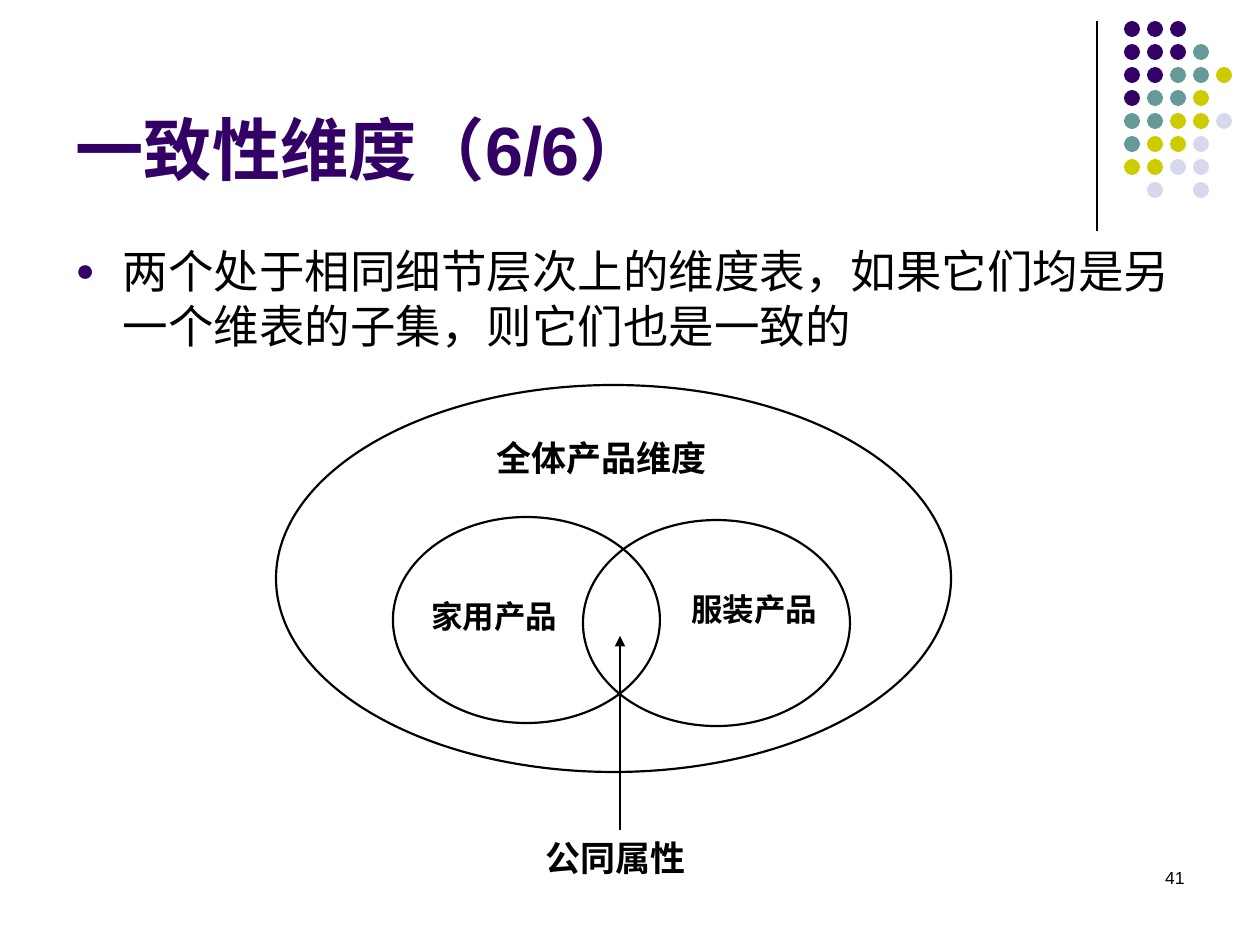
from typing import NamedTuple

import pptx
import pptx.dml.color
import pptx.enum.shapes
import pptx.enum.text
import pptx.oxml.ns
import pptx.util
from lxml import etree

PX = 914400 / 126
PURPLE, TEAL, LIME, LILAC, BLACK = "330066", "669999", "CCCC00", "D8D8EC", "000000"
DOT_COLOURS = {"P": PURPLE, "T": TEAL, "L": LIME, "V": LILAC}
DOT_ROWS = ["PPP", "PPPT", "PPTTL", "PTTL", "TTLLV", "TLLV", "LLVV", " V V"]
DOT_LEFT, DOT_TOP, DOT_PITCH, DOT_SIZE = 1124, 21, 23, 16


class Box(NamedTuple):
    left: int
    top: int
    width: int
    height: int


class Label(NamedTuple):
    text: str
    box: Box
    size: int


SETS = [Box(276, 385, 675, 387), Box(393, 517, 267, 206), Box(583, 520, 267, 206)]
LABELS = [
    Label("全体产品维度", Box(484, 430, 287, 55), 20),
    Label("家用产品", Box(419, 591, 174, 51), 18),
    Label("服装产品", Box(679, 584, 174, 51), 18),
]
SHARED_LABEL = Label("公同属性", Box(533, 830, 174, 55), 20)


def px(value: int) -> int:
    return round(value * PX)


def colour(value: str) -> pptx.dml.color.RGBColor:
    return pptx.dml.color.RGBColor.from_string(value)


def add_child(parent, tag: str, **attributes: str):
    return etree.SubElement(parent, pptx.oxml.ns.qn(tag), attributes)


def place(shape, box: Box) -> None:
    shape.left, shape.top, shape.width, shape.height = map(px, box)


def write(shape, text: str, *, size: int, color: str = BLACK, bold: bool = False,
          align=pptx.enum.text.PP_ALIGN.LEFT, anchor=pptx.enum.text.MSO_ANCHOR.TOP):
    """Fill a shape with one formatted paragraph and return the paragraph."""
    frame = shape.text_frame
    frame.word_wrap = True
    frame.auto_size = pptx.enum.text.MSO_AUTO_SIZE.NONE
    frame.vertical_anchor = anchor
    paragraph = frame.paragraphs[0]
    paragraph.alignment = align
    run = paragraph.add_run()
    run.text = text
    run.font.name = "Arial"
    run.font.size = pptx.util.Pt(size)
    run.font.bold = bold
    run.font.color.rgb = colour(color)
    return paragraph


def add_label(slide, label: Label, **text_format):
    shape = slide.shapes.add_textbox(*map(px, label.box))
    write(shape, label.text, size=label.size, **text_format)
    return shape


def add_ellipse(slide, box: Box, fill: str | None = None) -> None:
    """Draw a filled dot, or a black outline when no fill is given."""
    shape = slide.shapes.add_shape(pptx.enum.shapes.MSO_SHAPE.OVAL, *map(px, box))
    shape.shadow.inherit = False
    if fill:
        shape.fill.solid()
        shape.fill.fore_color.rgb = colour(fill)
        shape.line.fill.background()
    else:
        shape.fill.background()
        shape.line.color.rgb = colour(BLACK)
        shape.line.width = pptx.util.Pt(1.25)


def add_line(slide, start: tuple[int, int], end: tuple[int, int], width: float):
    line = slide.shapes.add_connector(
        pptx.enum.shapes.MSO_CONNECTOR.STRAIGHT, *map(px, start + end))
    line.line.color.rgb = colour(BLACK)
    line.line.width = pptx.util.Pt(width)
    add_child(line._element.spPr, "a:effectLst")
    return line


def add_dots(slide) -> None:
    for row, codes in enumerate(DOT_ROWS):
        for column, code in enumerate(codes):
            if code in DOT_COLOURS:
                box = Box(DOT_LEFT + column * DOT_PITCH, DOT_TOP + row * DOT_PITCH,
                          DOT_SIZE, DOT_SIZE)
                add_ellipse(slide, box, DOT_COLOURS[code])


def set_bullet(paragraph, indent: int) -> None:
    properties = paragraph._p.get_or_add_pPr()
    properties.set("marL", str(px(indent)))
    properties.set("indent", str(-px(indent)))
    add_child(add_child(properties, "a:buClr"), "a:srgbClr", val=PURPLE)
    add_child(properties, "a:buSzPct", val="70000")
    add_child(properties, "a:buFont", typeface="Arial")
    add_child(properties, "a:buChar", char="●")


def add_diagram(slide) -> None:
    for box in SETS:
        add_ellipse(slide, box)
    for label in LABELS:
        add_label(slide, label, bold=True)
    shared = add_label(slide, SHARED_LABEL, bold=True)
    arrow = add_line(slide, (620, 830), (620, 636), 1.5)
    arrow.begin_connect(shared, 0)
    add_child(arrow.line._get_or_add_ln(), "a:tailEnd", type="triangle")


def main() -> None:
    presentation = pptx.Presentation()
    presentation.slide_width, presentation.slide_height = px(1260), px(945)
    slide = presentation.slides.add_slide(presentation.slide_layouts[1])
    title, body = slide.placeholders

    add_line(slide, (1097, 21), (1097, 231), 0.75)
    add_dots(slide)

    place(title, Box(63, 16, 1040, 179))
    write(title, "一致性维度（6/6）", size=39, color=PURPLE, bold=True,
          anchor=pptx.enum.text.MSO_ANCHOR.BOTTOM)

    place(body, Box(63, 237, 1134, 156))
    paragraph = write(
        body, "两个处于相同细节层次上的维度表，如果它们均是另一个维表的子集，则它们也是一致的", size=26)
    paragraph.space_before = pptx.util.Pt(6.5)
    set_bullet(paragraph, 47)

    add_diagram(slide)
    add_label(slide, Label("41", Box(903, 861, 294, 63), 10),
              align=pptx.enum.text.PP_ALIGN.RIGHT)
    presentation.save("out.pptx")


if __name__ == "__main__":
    main()
